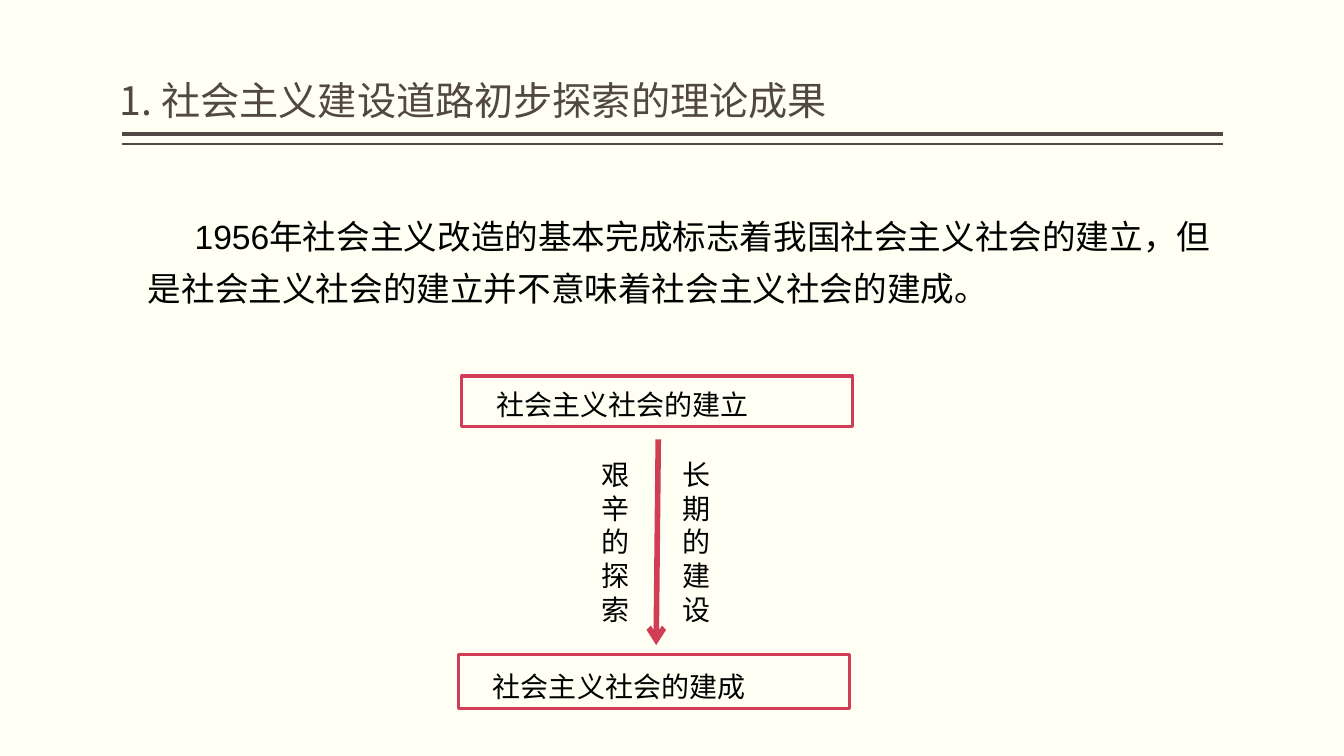
from dataclasses import dataclass

from lxml import etree
from pptx import Presentation
from pptx.dml.color import RGBColor
from pptx.enum import shapes, text
from pptx.oxml import ns
from pptx.util import Pt

COLORS = {"paper": "FFFFF3", "brown": "514843", "red": "D13D55", "ink": "000000"}
LATIN, CJK = "Arial", "Noto Sans CJK SC"


@dataclass(frozen=True)
class TextBlock:
    text: str
    left: float
    top: float
    width: float
    height: float
    size: float = 20
    spacing: float = 1.0
    indent: float = 0
    framed: bool = False


@dataclass(frozen=True)
class Line:
    x1: float
    y1: float
    x2: float
    y2: float
    color: str
    weight: float
    arrow: bool = False


BLOCKS = [
    TextBlock("1956年社会主义改造的基本完成标志着我国社会主义社会的建立，但是社会主义社会的建立并不意味着社会主义社会的建成。",
              98.6, 141.8, 773.3, 82.8, size=24, spacing=1.3, indent=33.4),
    TextBlock("社会主义社会的建立", 329.8, 268.6, 279.4, 36, spacing=1.2, indent=17.4, framed=True),
    TextBlock("社会主义社会的建成", 327.6, 467.3, 279.4, 38.9, spacing=1.3, indent=17.4, framed=True),
    TextBlock("长期的建设", 480.2, 323.3, 35.3, 128.2),
    TextBlock("艰辛的探索", 422.6, 323.3, 35.3, 128.2),
]
LINES = [
    Line(873.4, 95.8, 87.1, 95.8, "brown", 3),
    Line(873.4, 103, 87.1, 103, "brown", 1),
    Line(470.2, 313.9, 468.7, 460.8, "red", 4, arrow=True),
]


def rgb(name: str) -> RGBColor:
    return RGBColor.from_string(COLORS[name])


def style_paragraph(p, latin: str, size: float, color: str, spacing: float, indent: float = 0) -> None:
    p.alignment = text.PP_ALIGN.LEFT
    p.line_spacing = spacing
    if indent:
        p._p.get_or_add_pPr().set("indent", str(Pt(indent)))
    p.font.name = latin
    p.font.size = Pt(size)
    p.font.color.rgb = rgb(color)
    ea = etree.SubElement(p.font._element, ns.qn("a:ea"))
    ea.set("typeface", CJK)


def add_title(slide, title: str) -> None:
    sp = slide.shapes.title
    sp.left, sp.top, sp.width, sp.height = Pt(85.7), Pt(5.8), Pt(786.2), Pt(86.4)
    tf = sp.text_frame
    tf.text = title
    tf.word_wrap = True
    tf.auto_size = text.MSO_AUTO_SIZE.NONE
    tf.vertical_anchor = text.MSO_ANCHOR.BOTTOM
    tf.margin_left = tf.margin_right = Pt(0)
    style_paragraph(tf.paragraphs[0], CJK, 28, "brown", 0.9)


def add_block(slide, block: TextBlock) -> None:
    box = Pt(block.left), Pt(block.top), Pt(block.width), Pt(block.height)
    if block.framed:
        sp = slide.shapes.add_shape(shapes.MSO_SHAPE.RECTANGLE, *box)
        sp.shadow.inherit = False
        sp.fill.background()
        sp.line.color.rgb = rgb("red")
        sp.line.width = Pt(2.25)
    else:
        sp = slide.shapes.add_textbox(*box)
    tf = sp.text_frame
    tf.text = block.text
    tf.word_wrap = True
    tf.auto_size = text.MSO_AUTO_SIZE.SHAPE_TO_FIT_TEXT
    tf.vertical_anchor = text.MSO_ANCHOR.TOP
    style_paragraph(tf.paragraphs[0], LATIN, block.size, "ink", block.spacing, block.indent)


def add_line(slide, line: Line) -> None:
    cxn = slide.shapes.add_connector(
        shapes.MSO_CONNECTOR.STRAIGHT, Pt(line.x1), Pt(line.y1), Pt(line.x2), Pt(line.y2))
    cxn.line.color.rgb = rgb(line.color)
    cxn.line.width = Pt(line.weight)
    if line.arrow:
        etree.SubElement(cxn.line._get_or_add_ln(), ns.qn("a:tailEnd")).set("type", "arrow")
    etree.SubElement(cxn._element.spPr, ns.qn("a:effectLst"))


def main() -> None:
    prs = Presentation()
    prs.slide_width, prs.slide_height = Pt(960), Pt(540)
    slide = prs.slides.add_slide(prs.slide_layouts[5])
    slide.background.fill.solid()
    slide.background.fill.fore_color.rgb = rgb("paper")
    add_title(slide, "1. 社会主义建设道路初步探索的理论成果")
    for line in LINES:
        add_line(slide, line)
    for block in BLOCKS:
        add_block(slide, block)
    prs.save("out.pptx")


if __name__ == "__main__":
    main()
